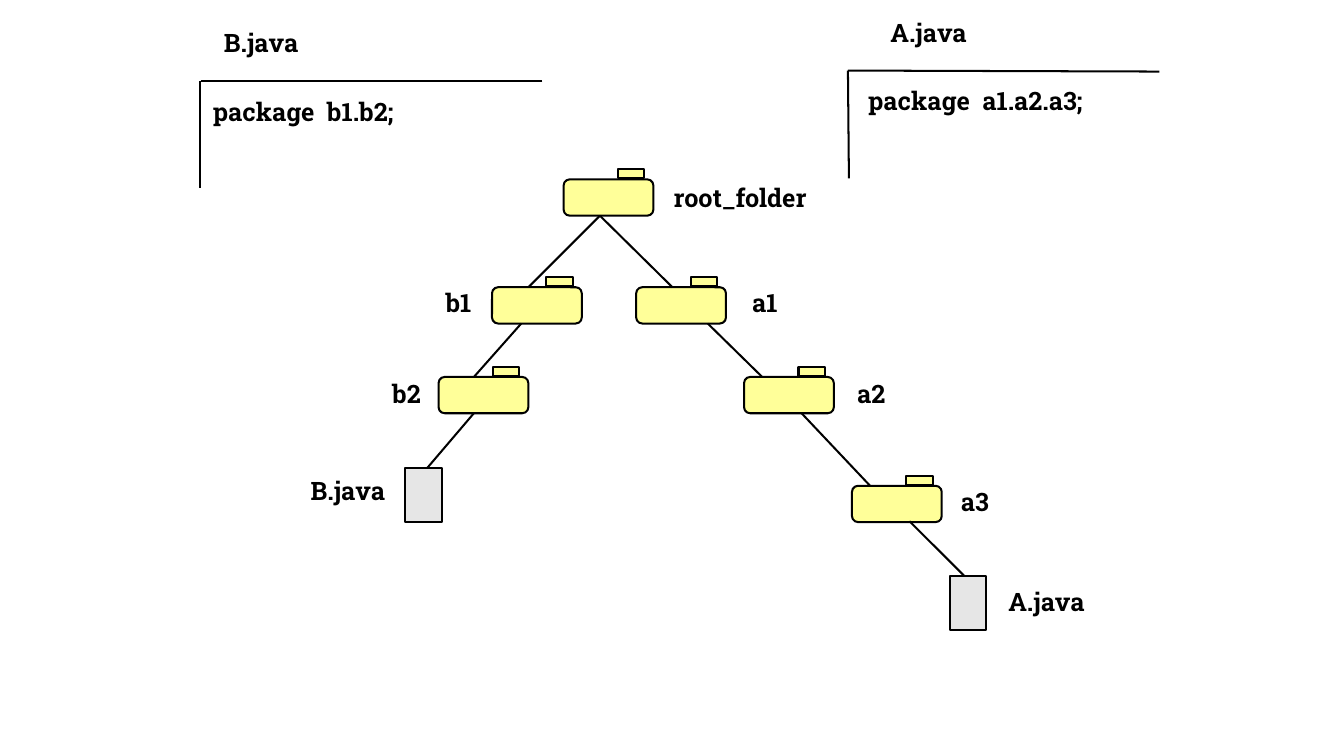
from lxml import etree
from pptx import Presentation
from pptx.dml.color import RGBColor
from pptx.enum.shapes import MSO_CONNECTOR as CONN, MSO_SHAPE as SHAPE
from pptx.enum.text import MSO_ANCHOR as ANCHOR, PP_ALIGN as ALIGN
from pptx.oxml.ns import qn
from pptx.util import Inches, Pt


def rgb(value):
    return RGBColor.from_string(value)


class TreeSlide:
    """Current slide with the style of the package tree."""
    font, size = "Roboto Slab", 18.1
    ink, folder_fill, file_fill = "000000", "FFFF99", "E6E6E6"
    line_width = 1.45

    def __init__(self, prs):
        self.s = prs.slides.add_slide(prs.slide_layouts[6])

    def outline(self, shape):
        shape.line.color.rgb = rgb(self.ink)
        shape.line.width = Pt(self.line_width)

    def block(self, kind, x, y, w, h, fill):
        sp = self.s.shapes.add_shape(kind, Inches(x), Inches(y), Inches(w), Inches(h))
        sp.shadow.inherit = False
        sp.fill.solid()
        sp.fill.fore_color.rgb = rgb(fill)
        self.outline(sp)
        return sp

    def folder(self, x, y):
        body = self.block(SHAPE.ROUNDED_RECTANGLE, x, y, 0.89, 0.36, self.folder_fill)
        body.adjustments[0] = 0.167
        self.block(SHAPE.RECTANGLE, x + 0.54, y - 0.1, 0.26, 0.09, self.folder_fill)

    def file(self, x, y):
        self.block(SHAPE.RECTANGLE, x, y, 0.36, 0.54, self.file_fill)

    def line(self, x1, y1, x2, y2):
        c = self.s.shapes.add_connector(
            CONN.STRAIGHT, Inches(x1), Inches(y1), Inches(x2), Inches(y2))
        self.outline(c)
        etree.SubElement(c._element.spPr, qn("a:effectLst"))

    def label(self, text, x, y, w):
        box = self.s.shapes.add_textbox(Inches(x), Inches(y), Inches(w), Inches(0.38))
        tf = box.text_frame
        tf.word_wrap = False
        tf.vertical_anchor = ANCHOR.MIDDLE
        tf.margin_left = tf.margin_right = Inches(0.09)
        tf.margin_top, tf.margin_bottom = Inches(0.05), Inches(0.04)
        tf.text = text
        p = tf.paragraphs[0]
        p.alignment = ALIGN.LEFT
        p.line_spacing = 0.98
        font = p.runs[0].font
        font.name, font.size, font.bold = self.font, Pt(self.size), True
        font.color.rgb = rgb(self.ink)


FOLDERS = [(5.59, 1.78), (4.88, 2.85), (6.31, 2.85),
           (4.35, 3.74), (7.38, 3.74), (8.45, 4.82)]
FILES = [(4.02, 4.64), (9.42, 5.71)]
BRANCHES = [
    (5.95, 2.14, 5.24, 2.85), (5.17, 3.21, 4.7, 3.74), (4.7, 4.1, 4.24, 4.64),
    (5.95, 2.14, 6.67, 2.85), (7.02, 3.21, 7.56, 3.74), (7.95, 4.1, 8.63, 4.82),
    (9.02, 5.17, 9.56, 5.71),
]
CODE_FRAMES = [
    (5.38, 0.8, 1.99, 0.8), (1.98, 0.8, 1.98, 1.87),
    (11.5, 0.71, 8.41, 0.7), (8.41, 0.7, 8.42, 1.77),
]
LABELS = [
    ("B.java", 2.13, 0.24, 0.98), ("package  b1.b2;", 2.02, 0.92, 2.22),
    ("A.java", 8.74, 0.14, 0.98), ("package  a1.a2.a3;", 8.52, 0.81, 2.61),
    ("root_folder", 6.59, 1.78, 1.62),
    ("b1", 4.33, 2.82, 0.5), ("b2", 3.8, 3.72, 0.5), ("B.java", 2.99, 4.68, 0.98),
    ("a1", 7.37, 2.82, 0.49), ("a2", 8.41, 3.72, 0.49), ("a3", 9.44, 4.79, 0.49),
    ("A.java", 9.91, 5.78, 0.98),
]


def main():
    prs = Presentation()
    prs.slide_width, prs.slide_height = Inches(13.33), Inches(7.5)
    tree = TreeSlide(prs)
    for place in FOLDERS:
        tree.folder(*place)
    for place in FILES:
        tree.file(*place)
    for ends in BRANCHES + CODE_FRAMES:
        tree.line(*ends)
    for label in LABELS:
        tree.label(*label)
    prs.save("out.pptx")


if __name__ == "__main__":
    main()
